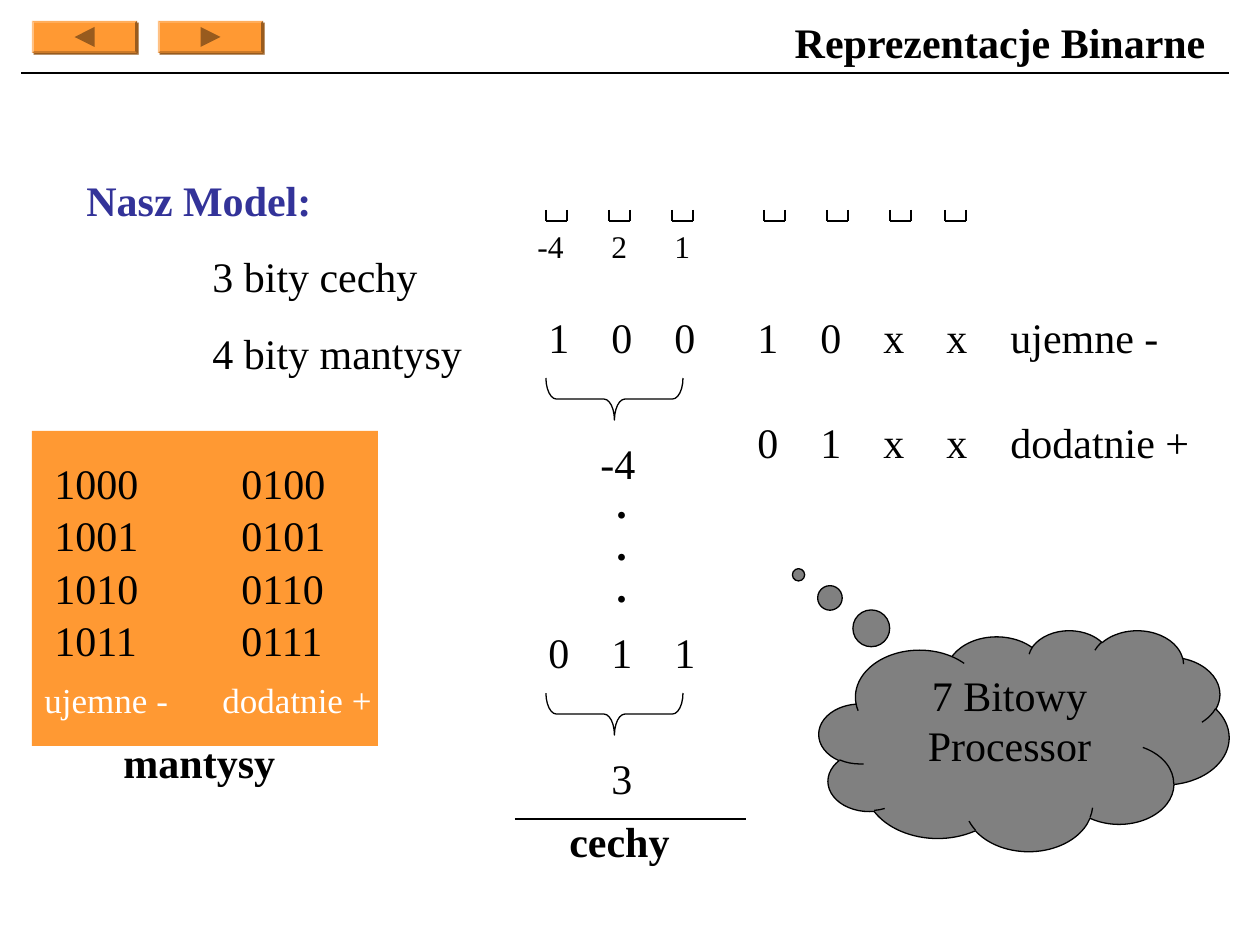
from lxml import etree
from pptx import Presentation
from pptx.dml.color import RGBColor
from pptx.enum.shapes import MSO_CONNECTOR, MSO_SHAPE
from pptx.enum.text import MSO_ANCHOR, PP_ALIGN
from pptx.oxml.ns import qn
from pptx.util import Pt

PX = 914400 / 126
FONT = "Times New Roman"
COLORS = {"black": "000000", "white": "FFFFFF", "navy": "333399",
          "orange": "FF9933", "brown": "985B1E", "gray": "808080"}
LINE = MSO_CONNECTOR.STRAIGHT
RECT, BEVEL = MSO_SHAPE.RECTANGLE, MSO_SHAPE.BEVEL
TRIANGLE, BRACE = MSO_SHAPE.ISOSCELES_TRIANGLE, MSO_SHAPE.LEFT_BRACE
CLOUD = MSO_SHAPE.CLOUD_CALLOUT
TOP, MIDDLE = MSO_ANCHOR.TOP, MSO_ANCHOR.MIDDLE
LEFT, CENTER, RIGHT = PP_ALIGN.LEFT, PP_ALIGN.CENTER, PP_ALIGN.RIGHT
STEP = 63  # distance between bit columns


def emu(*lengths):
    return [round(v * PX) for v in lengths]


def rgb(name):
    return RGBColor.from_string(COLORS[name])


def write(tf, lines, align=LEFT, anchor=TOP, color="black", **font):
    """Fill a text frame, one paragraph for each line."""
    tf.word_wrap = True
    tf.vertical_anchor = anchor
    for i, line in enumerate(lines):
        p = tf.add_paragraph() if i else tf.paragraphs[0]
        p.alignment = align
        r = p.add_run()
        r.text = line
        r.font.color.rgb = rgb(color)
        for name, value in {"name": FONT, "size": Pt(24), **font}.items():
            setattr(r.font, name, value)


def add_text(s, x, y, w, h, line, **fmt):
    tf = s.shapes.add_textbox(*emu(x, y, w, h)).text_frame
    write(tf, [line], **fmt)
    return tf


def add_line(s, x1, y1, x2, y2):
    c = s.shapes.add_connector(LINE, *emu(x1, y1, x2, y2))
    c.line.color.rgb = rgb("black")
    c.line.width = Pt(0.75)
    etree.SubElement(c._element.spPr, qn("a:effectLst"))


def add_shape(s, kind, x, y, w, h, fill=None, outline=None):
    sp = s.shapes.add_shape(kind, *emu(x, y, w, h))
    sp.shadow.inherit = False
    if fill:
        sp.fill.solid()
        sp.fill.fore_color.rgb = rgb(fill)
    else:
        sp.fill.background()
    if outline:
        sp.line.color.rgb = rgb(outline)
        sp.line.width = Pt(0.75)
    else:
        sp.line.fill.background()
    return sp


def nav_button(s, x, y, w, h, rotation):
    sp = add_shape(s, BEVEL, x, y, w, h, "orange")
    sp.adjustments[0] = 0.06
    # Hard shadow to the lower right
    effects = sp._element.spPr.find(qn("a:effectLst"))
    shadow = etree.SubElement(effects, qn("a:outerShdw"), blurRad="0",
                              dist=str(Pt(1.4)), dir="2700000")
    etree.SubElement(shadow, qn("a:srgbClr"), val=COLORS["brown"])
    # Arrow
    size = 20
    arrow = add_shape(s, TRIANGLE, x + (w - size) / 2, y + (h - size) / 2,
                      size, size, "brown")
    arrow.rotation = rotation


def header(s, x, y, w, h):
    for i, rotation in enumerate((270, 90)):
        nav_button(s, x + 11 + 126 * i, y, 105, 32, rotation)
    add_text(s, x + w - 473, y - 11, 462, h + 11, "Reprezentacje Binarne",
             align=RIGHT, anchor=MIDDLE, bold=True)
    add_line(s, x + w, y + h, x, y + h)


def model(s, x, y, w, h):
    tf = s.shapes.add_textbox(*emu(x, y, w, h)).text_frame
    write(tf, ["Nasz Model:", "3 bity cechy", "4 bity mantysy"])
    title, *items = tf.paragraphs
    title.runs[0].font.bold = True
    title.runs[0].font.color.rgb = rgb("navy")
    for p in items:
        p.space_before = Pt(15)
        p._p.get_or_add_pPr().set("marL", str(emu(126)[0]))


def mantissa_table(s, x, y, w, h):
    add_shape(s, RECT, x, y, w, h, "orange")
    columns = [(10, 0, "ujemne -", ("1000", "1001", "1010", "1011")),
               (197, 178, "dodatnie +", ("0100", "0101", "0110", "0111"))]
    for code_x, label_x, label, codes in columns:
        for i, code in enumerate(codes):
            add_text(s, x + code_x, y + 20 + 52.5 * i, 146, 63, code)
        add_text(s, x + label_x, y + 241, 210, 55, label,
                 color="white", size=Pt(20))
    add_text(s, x + 79, y + h - 16, 180, 63, "mantysy", bold=True)


def bit_slot(s, x, y, w, h):
    for side in (x, x + w):
        add_line(s, side, y, side, y + h)
    add_line(s, x, y + h, x + w, y + h)


def bits(s, x, y, values, **fmt):
    for i, value in enumerate(values):
        add_text(s, x + STEP * i, y, 63, 63, value, **fmt)


def brace(s, x, y, w, h):
    """Brace opening upwards, given by the box it covers when turned."""
    sp = add_shape(s, BRACE, x + (w - h) / 2, y + (h - w) / 2, h, w,
                   outline="black")
    sp.adjustments[0] = 0.25
    sp.rotation = 270


def exponent(s, x, y, w, h):
    for i in range(3):
        bit_slot(s, x + 31 + STEP * i, y, 21, 11)
    # Weights
    for dx, weight in zip((10, 84, 147), ("-4", "2", "1")):
        add_text(s, x + dx, y + 11, 63, 50, weight, size=Pt(18))
    # Smallest and largest exponent
    for dy, values, total, total_x in ((95, "100", "-4", 73),
                                       (410, "011", "3", 84)):
        bits(s, x + 21, y + dy, values)
        brace(s, x + 31, y + dy + 73, 137, 42)
        add_text(s, x + total_x, y + dy + 126, 63, 63, total)
    for i in range(3):
        add_text(s, x + 89, y + 260 + 42 * i, 53, 63, ".", bold=True)
    # Caption
    add_line(s, x, y + h, x + w, y + h)
    add_text(s, x + 42, y + h - 10, 140, 63, "cechy", bold=True)


def mantissa(s, x, y):
    for dx in (19, 82, 145, 200):
        bit_slot(s, x + dx, y, 21, 11)
    for dy, values, sign in ((95, "10xx", "ujemne -"),
                             (200, "01xx", "dodatnie +")):
        bits(s, x, y + dy, values)
        add_text(s, x + 253, y + dy, 210, 63, sign)


def processor(s, x, y, w, h):
    sp = add_shape(s, CLOUD, x, y, w, h, "gray", "black")
    sp.adjustments[0], sp.adjustments[1] = -0.55, -0.75
    write(sp.text_frame, ["7 Bitowy Processor"], align=CENTER)


def main():
    prs = Presentation()
    prs.slide_width, prs.slide_height = emu(1260, 945)
    s = prs.slides.add_slide(prs.slide_layouts[6])
    header(s, 21, 21, 1208, 52)
    model(s, 74, 168, 441, 217)
    mantissa_table(s, 32, 431, 346, 315)
    exponent(s, 515, 210, 231, 609)
    mantissa(s, 745, 210)
    processor(s, 819, 630, 410, 221)
    prs.save("out.pptx")


if __name__ == "__main__":
    main()
